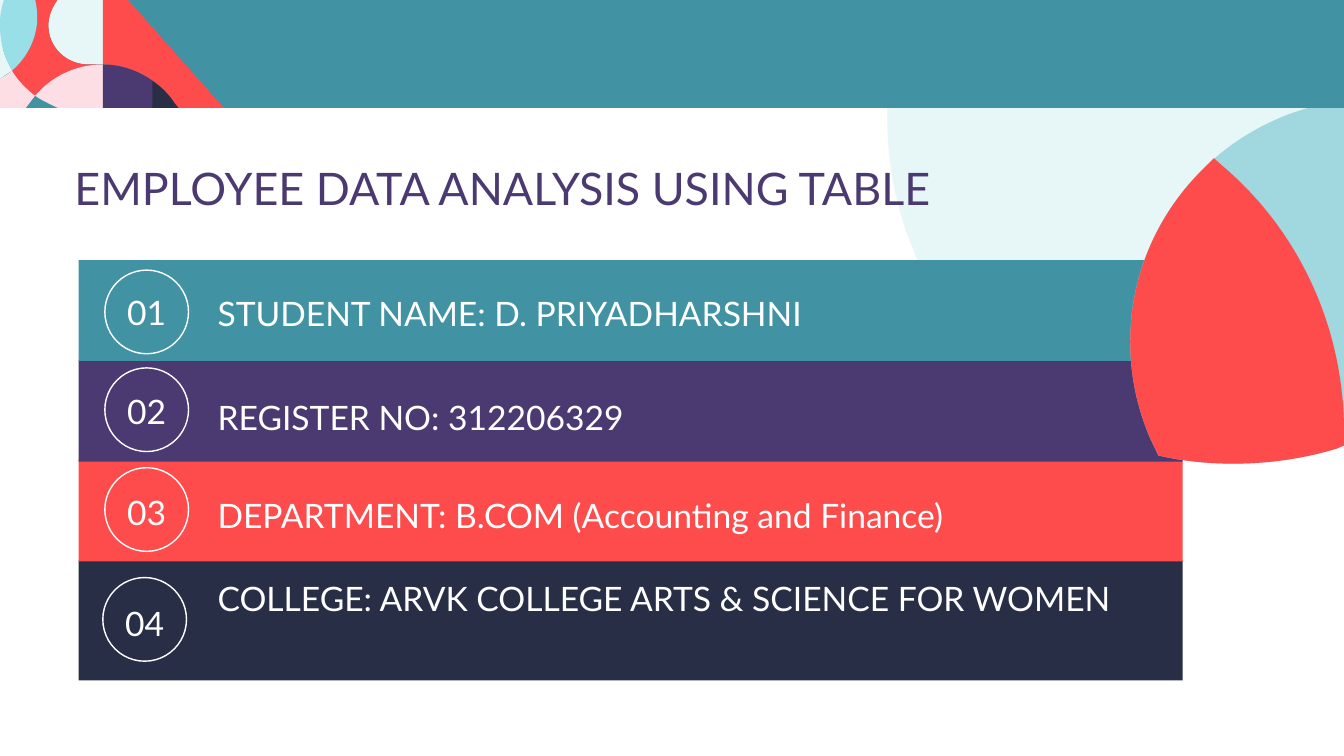
import lxml.etree
import pptx
import pptx.util
import pptx.dml.color
import pptx.enum.shapes
import pptx.enum.text
import pptx.oxml.ns

PX = 9144
TEAL, PLUM, RED, NAVY = "4193A4", "4B3A71", "FE4C4C", "282E46"
MIST, SKY, AQUA, PINK, WHITE = "E7F7F7", "A1D7DF", "99DFE8", "FCDEE4", "FFFFFF"
KIND = pptx.enum.shapes.MSO_SHAPE
ALIGN = pptx.enum.text.PP_ALIGN

ROWS = [
    (258, 100, TEAL, "STUDENT NAME: D. PRIYADHARSHNI", (128, 28, 766, 50), (26, 10), 17),
    (357, 101, PLUM, "REGISTER NO: 312206329", (128, 32, 557, 50), (26, 8), 18),
    (456, 101, RED, "DEPARTMENT: B.COM (Accounting and Finance)", (128, 30, 1020, 50), (26, 8), 19),
    (556, 119, NAVY, "COLLEGE: ARVK COLLEGE ARTS & SCIENCE FOR WOMEN", (128, 12, 967, 91), (24, 17), 20),
]


def tint(code):
    return pptx.dml.color.RGBColor.from_string(code)


def emu(*sizes):
    return [pptx.util.Emu(size * PX) for size in sizes]


def paint(shape, fill):
    shape.shadow.inherit = False
    shape.line.fill.background()
    if fill:
        shape.fill.solid()
        shape.fill.fore_color.rgb = tint(fill)
    else:
        shape.fill.background()
    return shape


def block(slide, kind, box, fill=None):
    return paint(slide.shapes.add_shape(kind, *emu(*box)), fill)


def write(slide, text, box, size, color, align=ALIGN.LEFT):
    frame = slide.shapes.add_textbox(*emu(*box)).text_frame
    frame.word_wrap = True
    frame.auto_size = pptx.enum.text.MSO_AUTO_SIZE.SHAPE_TO_FIT_TEXT
    frame.text = text
    line = frame.paragraphs[0]
    line.alignment = align
    font = line.runs[0].font
    font.name = "Lato"
    font.size = pptx.util.Pt(size)
    font.color.rgb = tint(color)


def outline(slide, left, top, parts, fill):
    tag = pptx.oxml.ns.qn
    spots = [((left + part[-2]) * PX, (top + part[-1]) * PX) for part in parts]
    maker = slide.shapes.build_freeform(*spots[0], scale=1.0)
    maker.add_line_segments(spots[1:], close=True)
    shape = paint(maker.convert_to_shape(), fill)
    edges = list(shape.element.iter(tag("a:lnTo")))
    for edge, part in zip(edges, parts[1:]):
        if len(part) == 2:
            continue
        curve = lxml.etree.Element(tag("a:cubicBezTo"))
        for x, y in zip(part[::2], part[1::2]):
            dot = lxml.etree.SubElement(curve, tag("a:pt"))
            dot.set("x", str((left + x) * PX - shape.left))
            dot.set("y", str((top + y) * PX - shape.top))
        edge.getparent().replace(edge, curve)


def backdrop(slide, left, top):
    outline(slide, left, top, [
        (21, 0), (453, 0), (453, 442), (446, 445), (413, 455, 379, 460, 343, 460),
        (154, 460, 0, 307, 0, 117), (0, 82, 6, 47, 16, 15)], MIST)


def leaves(slide, left, top):
    base = [(453, 442), (446, 445), (413, 455, 379, 460, 343, 460),
            (320, 460, 297, 458, 274, 453), (269, 452), (260, 433),
            (248, 404, 241, 373, 241, 339)]
    outline(slide, left, top, [(453, 100), *base, (241, 223, 324, 126, 434, 103)], SKY)
    outline(slide, left, top, [
        (324, 157), (333, 165), (407, 228, 453, 323, 453, 428), *base,
        (241, 274, 267, 215, 310, 171)], RED)


def banner(slide, left, top, width, height):
    block(slide, KIND.RECTANGLE, (left, top, width, height), TEAL)
    tiles = [
        (MIST, [(57, 0), (102, 0), (102, 64), (88, 64), (66, 64, 48, 47, 48, 25),
                (48, 16, 52, 7, 57, 0)]),
        (PINK, [(12, 70), (18, 80, 26, 88, 35, 95), (26, 107), (0, 107), (0, 78),
                (4, 76, 9, 73, 12, 70)]),
        (RED, [(35, 0), (57, 0), (52, 7, 48, 16, 48, 25), (48, 47, 66, 64, 88, 64),
               (102, 64), (75, 64, 51, 76, 35, 95), (26, 88, 18, 80, 12, 70),
               (27, 57, 37, 38, 37, 17), (37, 11, 36, 5, 35, 0)]),
        (MIST, [(0, 0), (4, 0), (0, 25), (3, 49), (5, 56, 8, 63, 12, 70), (0, 78)]),
        (AQUA, [(4, 0), (35, 0), (36, 5, 37, 11, 37, 17), (37, 38, 27, 57, 12, 70),
                (4, 57, 0, 41, 0, 25), (0, 16, 1, 8, 4, 0)]),
        (TEAL, [(35, 95), (39, 98, 43, 100, 47, 102), (57, 107), (26, 107)]),
        (PINK, [(102, 64), (102, 107), (57, 107), (47, 102), (43, 100, 39, 98, 35, 95),
                (51, 76, 75, 64, 102, 64)]),
        (RED, [(102, 0), (127, 0), (222, 107), (177, 107), (173, 102),
               (167, 93, 160, 86, 151, 80), (137, 70, 120, 64, 102, 64)]),
        (NAVY, [(151, 80), (160, 86, 167, 93, 173, 102), (177, 107), (151, 107)]),
        (PLUM, [(102, 64), (120, 64, 137, 70, 151, 80), (151, 107), (102, 107)]),
    ]
    for fill, tile in tiles:
        outline(slide, left, top, tile, fill)


def entry(slide, left, width, order, row):
    top, height, fill, text, label, ring, drop = row
    block(slide, KIND.RECTANGLE, (left, top, width, height), fill)
    x, y = left + ring[0], top + ring[1]
    write(slide, f"{order:02}", (x - 7, y + drop, 97, 50), 24, WHITE, ALIGN.CENTER)
    badge = block(slide, KIND.OVAL, (x, y, 83, 83))
    badge.line.color.rgb = tint(WHITE)
    badge.line.width = pptx.util.Pt(1)
    x, y, wide, tall = label
    write(slide, text, (left + x, top + y, wide, tall), 24, WHITE)


def main():
    deck = pptx.Presentation()
    deck.slide_width, deck.slide_height = emu(1333, 750)
    slide = deck.slides.add_slide(deck.slide_layouts[6])
    backdrop(slide, 880, 0)
    for order, row in reversed(list(enumerate(ROWS, 1))):
        entry(slide, 78, 1095, order, row)
    leaves(slide, 880, 0)
    write(slide, "EMPLOYEE DATA ANALYSIS USING TABLE", (64, 155, 1163, 64), 32, PLUM)
    banner(slide, 0, 0, 1333, 107)
    deck.save("out.pptx")


if __name__ == "__main__":
    main()
